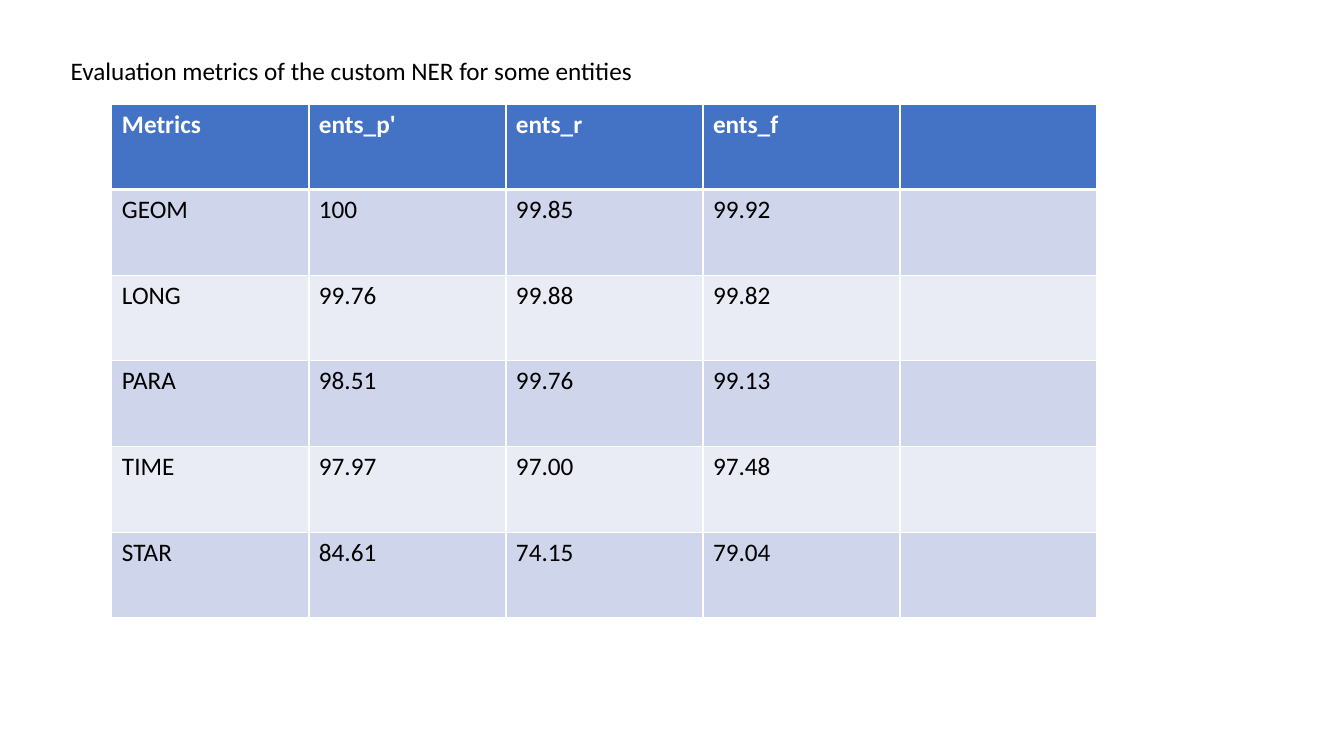
from dataclasses import dataclass

from lxml.etree import SubElement
from pptx import Presentation
from pptx.dml.color import RGBColor
from pptx.enum.text import MSO_ANCHOR, MSO_AUTO_SIZE, PP_ALIGN
from pptx.oxml.ns import qn
from pptx.util import Inches, Pt

TITLE = "Evaluation metrics of the custom NER for some entities"
METRICS = [
    ("Metrics", "ents_p'", "ents_r", "ents_f", ""),
    ("GEOM", "100", "99.85", "99.92", ""),
    ("LONG", "99.76", "99.88", "99.82", ""),
    ("PARA", "98.51", "99.76", "99.13", ""),
    ("TIME", "97.97", "97.00", "97.48", ""),
    ("STAR", "84.61", "74.15", "79.04", ""),
]


@dataclass(frozen=True)
class Theme:
    font: str = "Calibri"
    size: int = 18
    text: str = "000000"
    header_text: str = "FFFFFF"
    header_fill: str = "4472C4"
    band_fills: tuple = ("CFD5EA", "E9EBF5")
    border: str = "FFFFFF"
    thin: int = 1
    thick: int = 3


THEME = Theme()
TABLE_LEFT, TABLE_TOP, TABLE_WIDTH = 1.11, 1.04, 9.77
HEADER_HEIGHT, ROW_HEIGHT = 0.84, 0.85


def write_text(text_frame, text, color=THEME.text, bold=False):
    paragraph = text_frame.paragraphs[0]
    paragraph.alignment = PP_ALIGN.LEFT
    if text:
        paragraph.text = text
    paragraph.font.name = THEME.font
    paragraph.font.size = Pt(THEME.size)
    paragraph.font.bold = bold
    paragraph.font.color.rgb = RGBColor.from_string(color)
    for run in paragraph.runs:
        run.font.name = THEME.font
        run.font.size = Pt(THEME.size)
        run.font.bold = bold
        run.font.color.rgb = RGBColor.from_string(color)


def set_borders(cell, top, bottom):
    """Draw the four edges; top and bottom are widths in points."""
    properties = cell._tc.get_or_add_tcPr()
    widths = {"lnL": THEME.thin, "lnR": THEME.thin, "lnT": top, "lnB": bottom}
    for edge, width in widths.items():
        line = SubElement(properties, qn(f"a:{edge}"), w=str(Pt(width)))
        fill = SubElement(line, qn("a:solidFill"))
        SubElement(fill, qn("a:srgbClr"), val=THEME.border)


def add_title(slide):
    title = slide.shapes.title
    title.left, title.top = Inches(0.6), Inches(0.5)
    title.width, title.height = Inches(5.84), Inches(0.4)
    text_frame = title.text_frame
    text_frame.word_wrap = False
    text_frame.auto_size = MSO_AUTO_SIZE.SHAPE_TO_FIT_TEXT
    text_frame.vertical_anchor = MSO_ANCHOR.TOP
    write_text(text_frame, TITLE)


def add_metrics_table(slide):
    row_count, column_count = len(METRICS), len(METRICS[0])
    height = HEADER_HEIGHT + ROW_HEIGHT * (row_count - 1)
    table = slide.shapes.add_table(
        row_count, column_count, Inches(TABLE_LEFT), Inches(TABLE_TOP),
        Inches(TABLE_WIDTH), Inches(height)).table
    for column in table.columns:
        column.width = Inches(TABLE_WIDTH / column_count)
    for row_index, values in enumerate(METRICS):
        header = row_index == 0
        table.rows[row_index].height = Inches(HEADER_HEIGHT if header else ROW_HEIGHT)
        fill = THEME.header_fill if header else THEME.band_fills[(row_index - 1) % 2]
        color = THEME.header_text if header else THEME.text
        top = THEME.thick if row_index == 1 else THEME.thin
        bottom = THEME.thick if header else THEME.thin
        for column_index, value in enumerate(values):
            cell = table.cell(row_index, column_index)
            set_borders(cell, top, bottom)
            cell.fill.solid()
            cell.fill.fore_color.rgb = RGBColor.from_string(fill)
            write_text(cell.text_frame, value, color=color, bold=header)


def main():
    presentation = Presentation()
    presentation.slide_width, presentation.slide_height = Inches(13.33), Inches(7.5)
    slide = presentation.slides.add_slide(presentation.slide_layouts[5])
    add_metrics_table(slide)
    add_title(slide)
    presentation.save("out.pptx")


if __name__ == "__main__":
    main()
